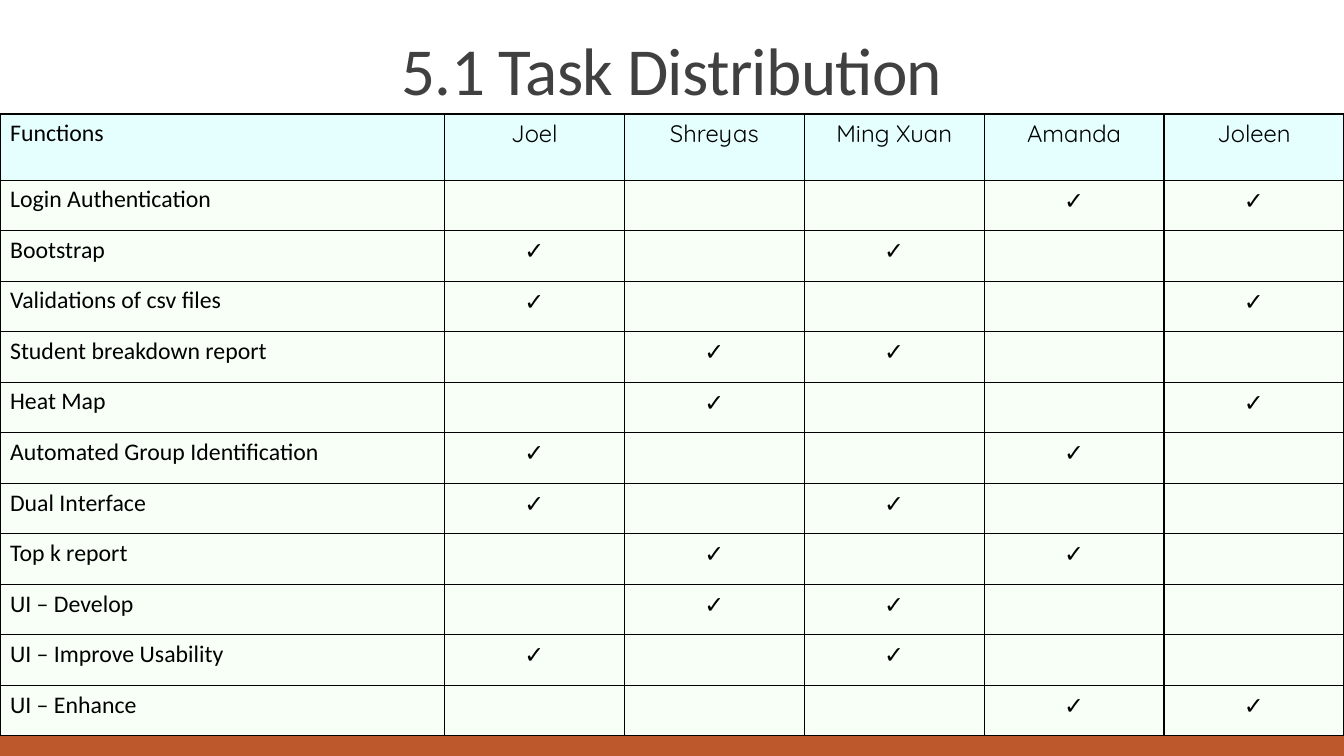
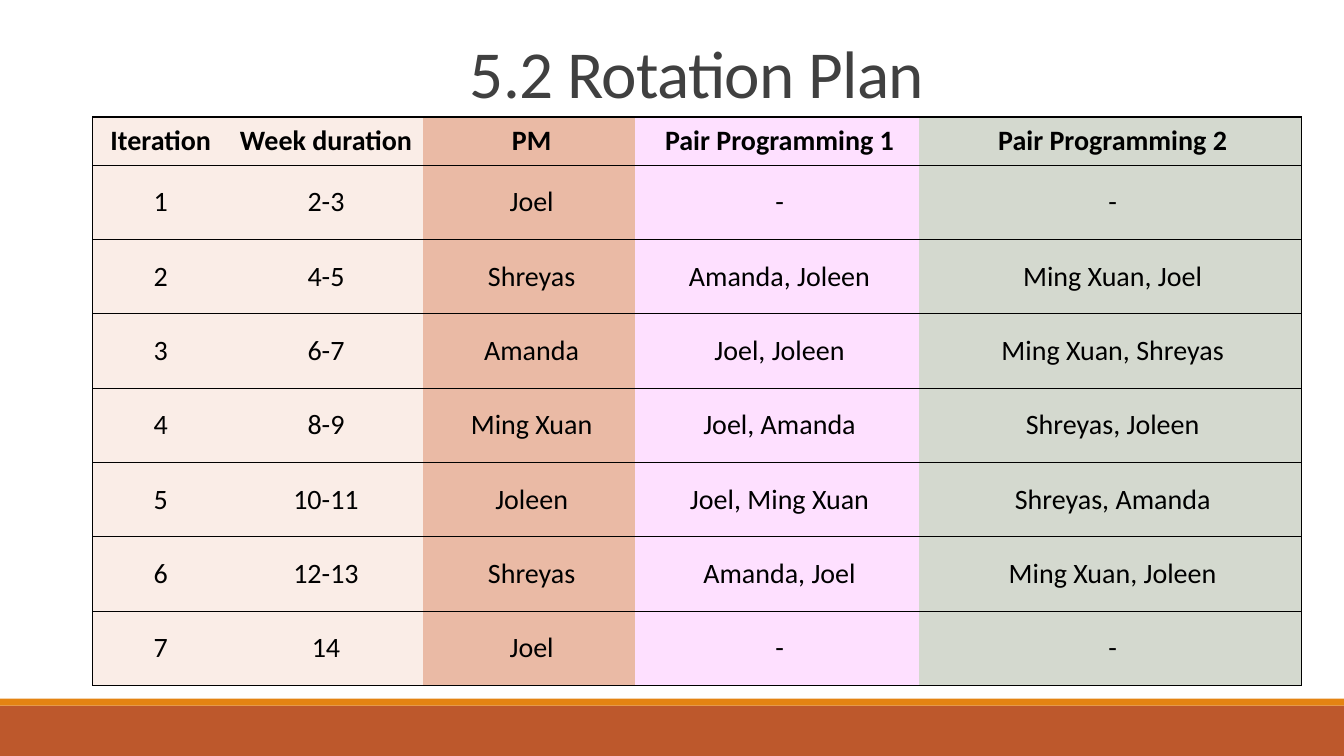
"""Build the task distribution and rotation plan slides."""
from lxml.etree import SubElement
from pptx import Presentation
from pptx.dml.color import RGBColor
from pptx.enum.shapes import MSO_SHAPE
from pptx.enum.text import MSO_ANCHOR, MSO_AUTO_SIZE, PP_ALIGN
from pptx.oxml.ns import qn
from pptx.util import Pt

COLORS = {
    "title": "404040",
    "text": "000000",
    "band": "BD582C",
    "stripe": "E48312",
    "header": "E5FFFF",
    "task": "F7FFF7",
    "iteration": "FAEDE7",
    "manager": "EABAA5",
    "pair one": "FEE0FF",
    "pair two": "D4D9CF",
}
WIDTH, HEIGHT = 960, 540


def add_table(page, left, top, widths, heights):
    frame = page.shapes.add_table(
        len(heights), len(widths), Pt(left), Pt(top), Pt(sum(widths)), Pt(sum(heights))
    )
    table = frame.table
    table.first_row = table.horz_banding = False
    for column, width in zip(table.columns, widths):
        column.width = Pt(width)
    for row, height in zip(table.rows, heights):
        row.height = Pt(height)
    return table


def format_cell(cell, text, color, sides, font, size, align, bold=False):
    properties = cell._tc.get_or_add_tcPr()
    for side in "LRTB":
        border = SubElement(properties, qn(f"a:ln{side}"), w=str(Pt(1)))
        if side in sides:
            fill = SubElement(border, qn("a:solidFill"))
            SubElement(fill, qn("a:srgbClr"), val=COLORS["text"])
        else:
            SubElement(border, qn("a:noFill"))
    cell.fill.solid()
    cell.fill.fore_color.rgb = RGBColor.from_string(COLORS[color])
    if text:
        para = cell.text_frame.paragraphs[0]
        para.alignment = align
        span = para.add_run()
        span.text = text
        span.font.name = font
        span.font.size = Pt(size)
        span.font.bold = bold
        span.font.color.rgb = RGBColor.from_string(COLORS["text"])


deck = Presentation()
deck.slide_width, deck.slide_height = Pt(WIDTH), Pt(HEIGHT)
layout = deck.slide_layouts[5]

titles = [
    ("5.1 Task Distribution", 128.9, 3.6, 77.8),
    ("5.2 Rotation Plan", 146.9, -17.3, 100.8),
]
pages = []
for text, left, top, height in titles:
    page = deck.slides.add_slide(layout)
    pages.append(page)
    box = page.shapes.title
    box.left, box.top, box.width, box.height = Pt(left), Pt(top), Pt(702), Pt(height)
    frame = box.text_frame
    frame.word_wrap = True
    frame.auto_size = MSO_AUTO_SIZE.NONE
    frame.vertical_anchor = MSO_ANCHOR.BOTTOM
    para = frame.paragraphs[0]
    para.alignment = PP_ALIGN.CENTER
    para.line_spacing = 0.85
    span = para.add_run()
    span.text = text
    span.font.name = "Calibri"
    span.font.size = Pt(48)
    span.font.color.rgb = RGBColor.from_string(COLORS["title"])
    span.font._element.set("spc", "-50")

task_page, rotation_page = pages

for color, top, height in [("band", 504, 36), ("stripe", 499, 5)]:
    band = task_page.shapes.add_shape(
        MSO_SHAPE.RECTANGLE, Pt(0), Pt(top), Pt(WIDTH), Pt(height)
    )
    band.shadow.inherit = False
    band.fill.solid()
    band.fill.fore_color.rgb = RGBColor.from_string(COLORS[color])
    band.line.fill.background()
    layout.shapes.element.append(band.element)

members = ["Joel", "Shreyas", "Ming Xuan", "Amanda", "Joleen"]
tasks = [
    ("Login Authentication", "Amanda", "Joleen"),
    ("Bootstrap", "Joel", "Ming Xuan"),
    ("Validations of csv files", "Joel", "Joleen"),
    ("Student breakdown report", "Shreyas", "Ming Xuan"),
    ("Heat Map", "Shreyas", "Joleen"),
    ("Automated Group Identification", "Joel", "Amanda"),
    ("Dual Interface", "Joel", "Ming Xuan"),
    ("Top k report", "Shreyas", "Amanda"),
    ("UI – Develop", "Shreyas", "Ming Xuan"),
    ("UI – Improve Usability", "Joel", "Ming Xuan"),
    ("UI – Enhance", "Amanda", "Joleen"),
]
task_rows = [["Functions", *members]]
for task, *owners in tasks:
    task_rows.append([task] + ["✓" if member in owners else "" for member in members])

table = add_table(
    task_page, 0, 81.4, [317.5] + [128.5] * len(members), [47.3] + [36.1] * len(tasks)
)
for row, texts in enumerate(task_rows):
    for column, text in enumerate(texts):
        format_cell(
            table.cell(row, column),
            text,
            "task" if row else "header",
            "LRTB",
            "Quicksand" if column else "Calibri",
            17,
            PP_ALIGN.CENTER if column else PP_ALIGN.LEFT,
        )

rotation_rows = [
    ["Iteration", "Week duration", "PM", "Pair Programming 1", "Pair Programming 2"],
    ["1", "2-3", "Joel", "-", "-"],
    ["2", "4-5", "Shreyas", "Amanda, Joleen", "Ming Xuan, Joel"],
    ["3", "6-7", "Amanda", "Joel, Joleen", "Ming Xuan, Shreyas"],
    ["4", "8-9", "Ming Xuan", "Joel, Amanda", "Shreyas, Joleen"],
    ["5", "10-11", "Joleen", "Joel, Ming Xuan", "Shreyas, Amanda"],
    ["6", "12-13", "Shreyas", "Amanda, Joel", "Ming Xuan, Joleen"],
    ["7", "14", "Joel", "-", "-"],
]
column_colors = ["iteration", "iteration", "manager", "pair one", "pair two"]
column_sides = ["LTB", "TB", "TB", "TB", "RTB"]

table = add_table(
    rotation_page,
    66.2,
    83.5,
    [93.6, 142.6, 151.2, 203, 272.9],
    [34.2] + [53.1] * (len(rotation_rows) - 1),
)
for row, texts in enumerate(rotation_rows):
    for column, text in enumerate(texts):
        cell = table.cell(row, column)
        format_cell(
            cell,
            text,
            column_colors[column],
            column_sides[column],
            "Calibri",
            20,
            PP_ALIGN.CENTER,
            bold=row == 0,
        )
        cell.margin_left = Pt(8.6)
        cell.margin_right = cell.margin_top = cell.margin_bottom = Pt(5)
        cell.vertical_anchor = MSO_ANCHOR.MIDDLE if row else MSO_ANCHOR.TOP

deck.save("out.pptx")
